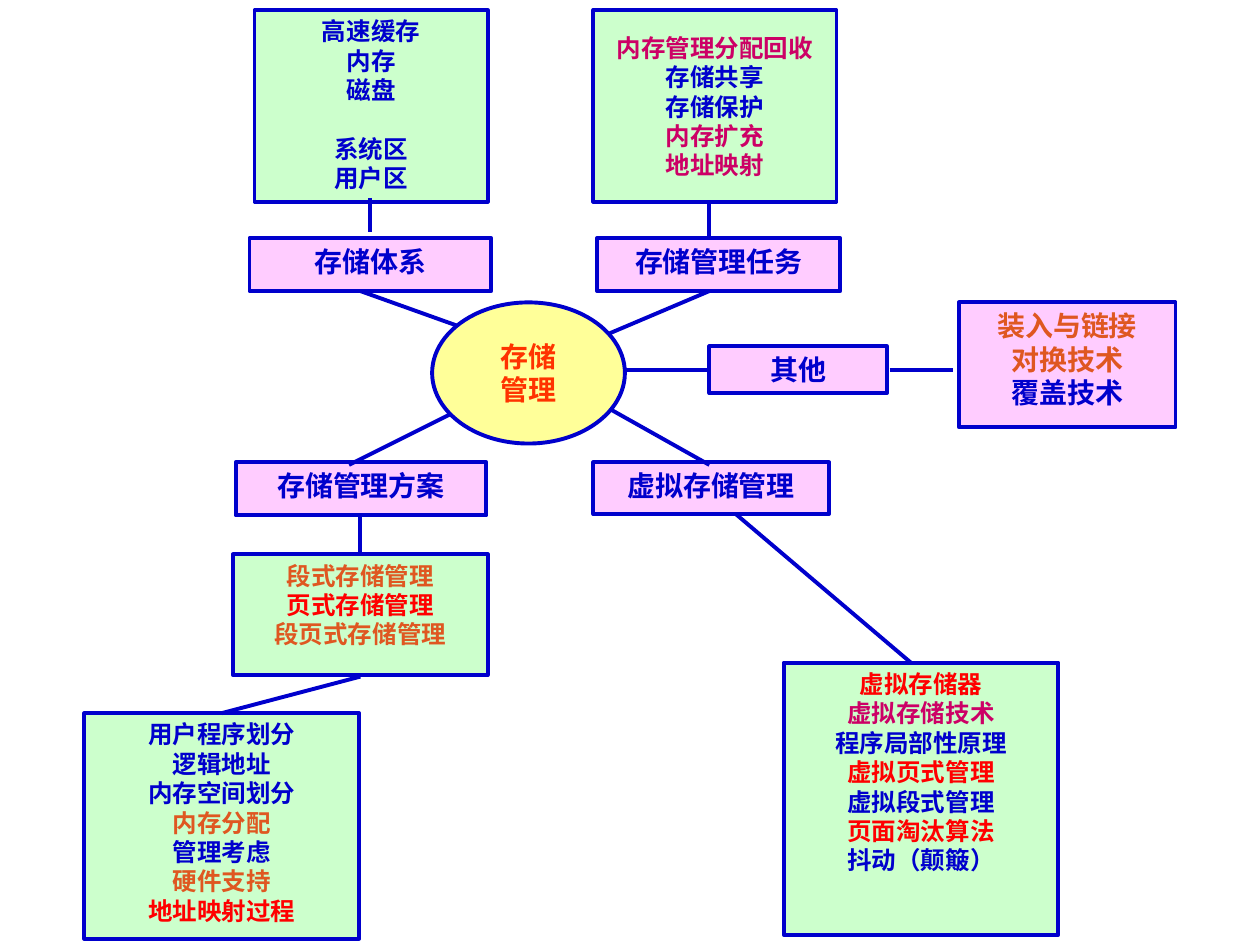
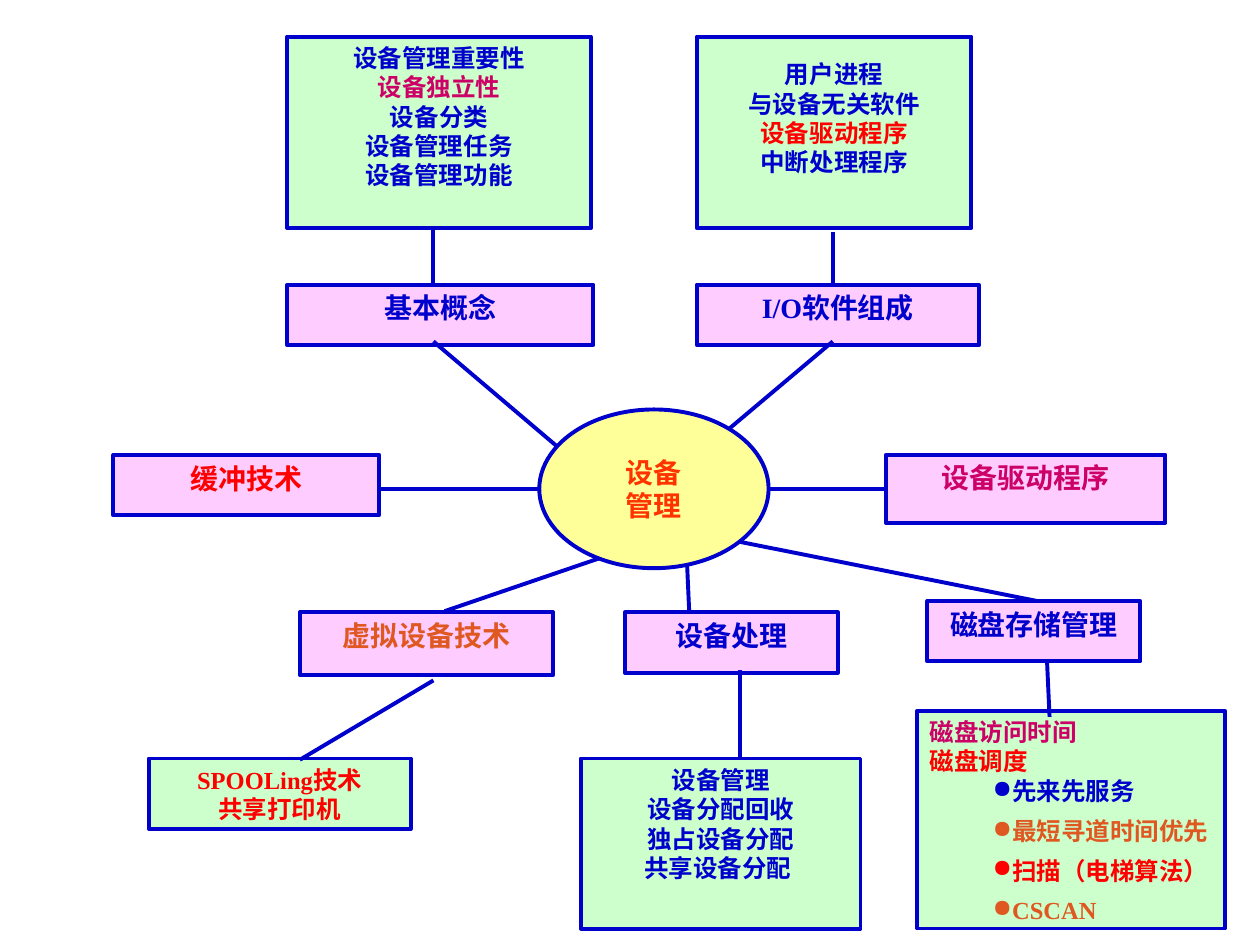
"""Build two mind maps: storage management and device management."""
import pptx
import pptx.dml.color
import pptx.enum.lang
import pptx.enum.shapes
import pptx.enum.text
import pptx.oxml
import pptx.oxml.ns
import pptx.util
from pptx.util import Inches

BLUE, RED, ORANGE, MAGENTA = "0000CC", "FF0000", "DF5721", "CC0066"
CENTER = pptx.enum.text.PP_ALIGN.CENTER
JUSTIFY = pptx.enum.text.PP_ALIGN.JUSTIFY
SHAPE = pptx.enum.shapes.MSO_SHAPE
ANCHOR = pptx.enum.text.MSO_ANCHOR
CHINESE = pptx.enum.lang.MSO_LANGUAGE_ID.SIMPLIFIED_CHINESE
LINE_WIDTH = pptx.util.Pt(2.25)
BLANK_LINE = pptx.util.Pt(16.8)
LOWERED_TOP = Inches(0.18)

DETAIL = {"shape": SHAPE.RECTANGLE, "fill": "CCFFCC", "size": 14, "font": "Times New Roman",
          "frame": {"word_wrap": True, "vertical_anchor": ANCHOR.TOP}}
BRANCH = {**DETAIL, "fill": "FFCCFF", "size": 16}
CORE = {"shape": SHAPE.OVAL, "fill": "FFFF99", "size": 16, "font": "Arial",
        "frame": {"word_wrap": False, "vertical_anchor": ANCHOR.MIDDLE}}


def rgb(hex_colour):
    """Turn a hex string into a colour."""
    return pptx.dml.color.RGBColor.from_string(hex_colour)


def apply(target, values):
    """Set every attribute named in the dict."""
    for attribute, value in values.items():
        setattr(target, attribute, value)


def outline(line):
    """Give a border or a link the shared stroke."""
    line.color.rgb = rgb(BLUE)
    line.width = LINE_WIDTH


def add_node(slide, style, place, entries, **frame_values):
    """Draw one node; entries are blue texts or (text, colour) pairs."""
    node = slide.shapes.add_shape(style["shape"], *map(Inches, place))
    node.shadow.inherit = False
    node.fill.solid()
    node.fill.fore_color.rgb = rgb(style["fill"])
    outline(node.line)
    frame = node.text_frame
    apply(frame, {**style["frame"], **frame_values})
    for index, entry in enumerate(entries):
        text, colour = (entry, BLUE) if isinstance(entry, str) else entry
        paragraph = frame.add_paragraph() if index else frame.paragraphs[0]
        paragraph.alignment = CENTER
        run = paragraph.add_run()
        run.text = text
        apply(run.font, {"size": pptx.util.Pt(style["size"]), "name": style["font"],
                         "bold": True, "language_id": CHINESE})
        run.font.color.rgb = rgb(colour)
    return frame.paragraphs


def add_core(slide, place, entries):
    """Draw the central topic of a map."""
    add_node(slide, CORE, place, [(entry, "FF3300") for entry in entries])


def add_links(slide, links):
    """Draw straight links given as x1, y1, x2, y2."""
    for ends in links:
        link = slide.shapes.add_connector(
            pptx.enum.shapes.MSO_CONNECTOR.STRAIGHT, *map(Inches, ends))
        outline(link.line)
        link._element.spPr.append(pptx.oxml.parse_xml(
            f'<a:effectLst {pptx.oxml.ns.nsdecls("a")}/>'))


def add_bullet(paragraph):
    """Make a paragraph an indented bullet item."""
    apply(paragraph, {"level": 1, "space_after": pptx.util.Pt(6)})
    properties = paragraph._p.get_or_add_pPr()
    properties.set("marL", str(Inches(0.5)))
    properties.set("indent", "0")
    properties.append(pptx.oxml.parse_xml(
        f'<a:buChar {pptx.oxml.ns.nsdecls("a")} char="●"/>'))


def build_storage_map(slide):
    """Draw the storage management map."""
    hierarchy = add_node(slide, DETAIL, (2.02, 0.08, 1.85, 1.52),
                         ["高速缓存", "内存", "磁盘", "系统区", "用户区"])
    hierarchy[3].space_before = BLANK_LINE
    add_node(slide, DETAIL, (4.71, 0.08, 1.93, 1.52),
             [("内存管理分配回收", MAGENTA), "存储共享", "存储保护",
              ("内存扩充", MAGENTA), ("地址映射", MAGENTA)], margin_top=LOWERED_TOP)
    add_node(slide, DETAIL, (1.85, 4.4, 2.02, 0.96),
             [("段式存储管理", ORANGE), ("页式存储管理", RED), ("段页式存储管理", ORANGE)])
    add_node(slide, DETAIL, (0.67, 5.66, 2.18, 1.79),
             ["用户程序划分", "逻辑地址", "内存空间划分", ("内存分配", ORANGE),
              "管理考虑", ("硬件支持", ORANGE), ("地址映射过程", RED)])
    add_node(slide, DETAIL, (6.22, 5.26, 2.18, 2.16),
             [("虚拟存储器", RED), ("虚拟存储技术", MAGENTA), "程序局部性原理",
              ("虚拟页式管理", RED), "虚拟段式管理", ("页面淘汰算法", RED), "抖动（颠簸）"])
    add_node(slide, BRANCH, (7.61, 2.4, 1.72, 0.99),
             [("装入与链接", ORANGE), ("对换技术", ORANGE), "覆盖技术"])
    for topic, place in {
        "存储体系": (1.98, 1.89, 1.92, 0.42),
        "存储管理任务": (4.74, 1.89, 1.93, 0.42),
        "存储管理方案": (1.87, 3.67, 1.99, 0.42),
        "虚拟存储管理": (4.71, 3.67, 1.87, 0.41),
        "其他": (5.63, 2.75, 1.41, 0.37),
    }.items():
        add_node(slide, BRANCH, place, [topic])
    add_links(slide, [
        (2.86, 2.31, 3.95, 2.7), (5.63, 2.31, 4.71, 2.7),
        (2.77, 3.69, 3.95, 3.1), (5.63, 3.69, 4.74, 3.19),
        (4.87, 2.94, 5.63, 2.94), (7.06, 2.94, 7.56, 2.94),
        (2.94, 1.57, 2.94, 1.84), (5.63, 1.59, 5.63, 1.89),
        (2.86, 4.09, 2.86, 4.41), (1.76, 5.66, 2.86, 5.37),
        (5.84, 4.08, 7.23, 5.26),
    ])
    add_core(slide, (3.43, 2.4, 1.53, 1.12), ["存储", "管理"])


def build_device_map(slide):
    """Draw the device management map."""
    add_node(slide, DETAIL, (2.28, 0.29, 2.41, 1.52),
             ["设备管理重要性", ("设备独立性", MAGENTA), "设备分类",
              "设备管理任务", "设备管理功能"])
    add_node(slide, DETAIL, (5.53, 0.29, 2.18, 1.52),
             ["用户进程", "与设备无关软件", ("设备驱动程序", RED), "中断处理程序"],
             margin_top=LOWERED_TOP)
    add_node(slide, DETAIL, (1.18, 6.02, 2.08, 0.56),
             [("SPOOLing技术", RED), ("共享打印机", RED)])
    add_node(slide, DETAIL, (4.61, 6.02, 2.22, 1.35),
             ["设备管理", "设备分配回收", "独占设备分配", "共享设备分配 "])
    disk = add_node(slide, DETAIL, (7.28, 5.64, 2.44, 1.73),
                    [("磁盘访问时间", MAGENTA), ("磁盘调度", RED), "先来先服务",
                     ("最短寻道时间优先", ORANGE), ("扫描（电梯算法）", RED), ("CSCAN", ORANGE)])
    for paragraph in disk:
        paragraph.alignment = JUSTIFY
    for scheduling in disk[2:]:
        add_bullet(scheduling)
    for topic, colour, place in [
        ("基本概念", BLUE, (2.28, 2.26, 2.43, 0.48)),
        ("I/O软件组成", BLUE, (5.53, 2.26, 2.24, 0.48)),
        ("缓冲技术", RED, (0.9, 3.61, 2.11, 0.48)),
        ("设备驱动程序", MAGENTA, (7.03, 3.61, 2.22, 0.54)),
        ("虚拟设备技术", ORANGE, (2.38, 4.86, 2.01, 0.5)),
        ("设备处理", BLUE, (4.96, 4.86, 1.69, 0.48)),
        ("磁盘存储管理", BLUE, (7.36, 4.77, 1.69, 0.48)),
    ]:
        add_node(slide, BRANCH, place, [(topic, colour)])
    add_links(slide, [
        (3.44, 2.71, 4.5, 3.61), (6.61, 2.71, 5.66, 3.51),
        (3.53, 4.85, 4.79, 4.42), (5.47, 4.85, 5.45, 4.41),
        (4.27, 3.88, 3.02, 3.88), (5.87, 3.88, 7.03, 3.88),
        (3.44, 1.81, 3.44, 2.26), (6.61, 1.84, 6.61, 2.26),
        (3.44, 5.4, 2.38, 6.03), (5.87, 5.32, 5.87, 6.03),
        (5.87, 4.3, 8.23, 4.77), (8.33, 5.69, 8.31, 5.25),
    ])
    add_core(slide, (4.28, 3.25, 1.82, 1.26), ["设备", "管理"])


def main():
    """Build and save the two slides."""
    deck = pptx.Presentation()
    apply(deck, {"slide_width": Inches(10), "slide_height": Inches(7.5)})
    blank_layout = deck.slide_layouts[6]
    for build_map in (build_storage_map, build_device_map):
        build_map(deck.slides.add_slide(blank_layout))
    deck.save("out.pptx")


if __name__ == "__main__":
    main()
